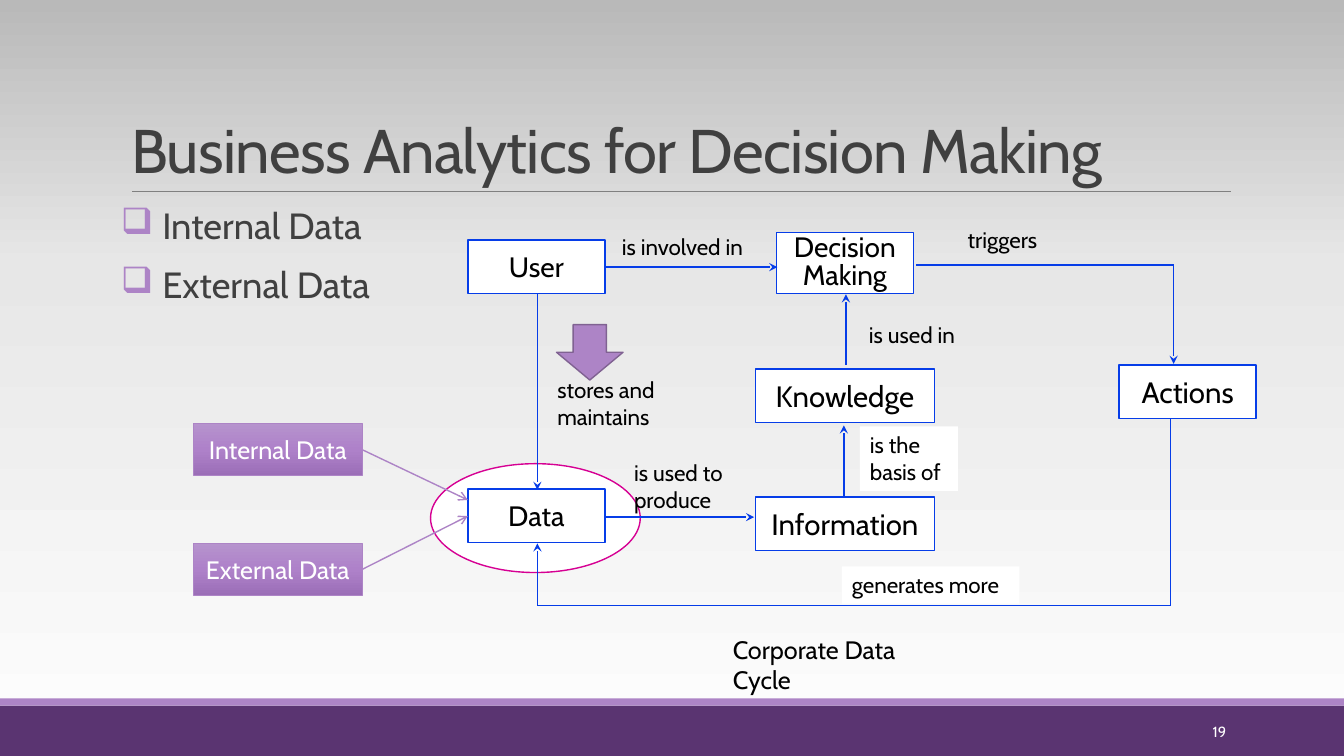
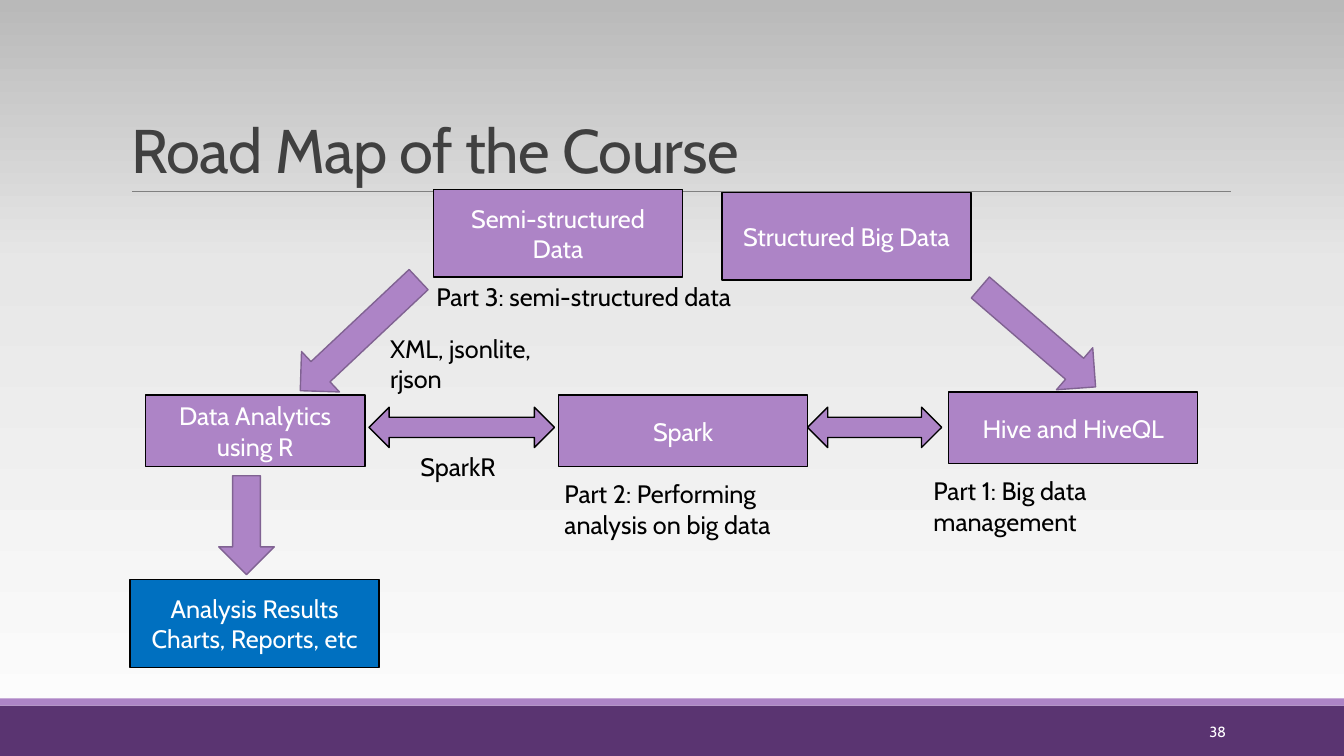
from dataclasses import dataclass
from copy import deepcopy
from itertools import pairwise
from typing import Any

from lxml.etree import SubElement
from pptx import Presentation
from pptx.dml.color import RGBColor
from pptx.enum.shapes import MSO_CONNECTOR, MSO_SHAPE
from pptx.enum.text import MSO_ANCHOR, PP_ALIGN
from pptx.oxml.ns import qn
from pptx.util import Pt

PX = 9144  # one px is a hundredth of an inch
Rect = tuple[int, int, int, int]
Point = tuple[int, int]
Stops = tuple[tuple[int, str], ...]


@dataclass(frozen=True)
class Theme:
    font: str = "Cabin"
    ink: str = "404040"
    black: str = "000000"
    white: str = "FFFFFF"
    deep: str = "5A3471"
    lilac: str = "AD84C6"
    edge: str = "806292"
    blue: str = "063DE8"
    azure: str = "0070C0"
    pink: str = "D60093"
    rule: str = "808080"
    page: Stops = ((0, "FEFEFE"), (65, "E7E7E7"), (100, "B9B9B9"))
    sheen: Stops = ((0, "B693CD"), (50, "AE81C9"), (100, "9B6EB7"))
    head: float = 44
    list: float = 26
    node: float = 20
    wide: float = 21
    body: float = 18
    note: float = 16
    foot: float = 10.5


T = Theme()


@dataclass(frozen=True)
class Node:
    rect: Rect
    text: str = ""
    fill: str | Stops = T.lilac
    line: str | None = T.black
    width: float = 1
    size: float = T.body
    color: str = T.white
    kind: MSO_SHAPE = MSO_SHAPE.RECTANGLE
    turn: float = 0
    lead: float = 1


@dataclass(frozen=True)
class Label:
    rect: Rect
    text: str
    size: float = T.note
    fill: str | None = None


@dataclass(frozen=True)
class Link:
    points: tuple[Point, ...]
    color: str = T.blue
    head: str | None = "stealth"
    width: float = 1


def put(item: Any, values: dict[str, Any]) -> None:
    for name, value in values.items():
        setattr(item, name, value)


def scale(rect: Rect) -> list[int]:
    return [n * PX for n in rect]


def paint(fill: Any, tone: str | Stops | None) -> None:
    """Fill with one colour, with vertical gradient stops, or with nothing."""
    if tone is None:
        fill.background()
    elif isinstance(tone, str):
        fill.solid()
        fill.fore_color.rgb = RGBColor.from_string(tone)
    else:
        fill.gradient()
        fill.gradient_angle = 270
        first = fill.gradient_stops[0]._gs
        first.getparent().append(deepcopy(first))
        for stop, (place, color) in zip(fill.gradient_stops, tone):
            stop.color.rgb = RGBColor.from_string(color)
            stop.position = place / 100


def write(frame: Any, text: str, size: float, color: str,
          look: dict[str, Any] | None = None,
          anchor: MSO_ANCHOR = MSO_ANCHOR.TOP, side: int = 10) -> None:
    """Set the text of a frame, one paragraph a line."""
    put(frame, {"text": text, "word_wrap": True, "vertical_anchor": anchor,
                "margin_left": side * PX, "margin_right": side * PX,
                "margin_top": 5 * PX, "margin_bottom": 5 * PX})
    for para in frame.paragraphs:
        put(para, look or {})
        for run in para.runs:
            put(run.font, {"name": T.font, "size": Pt(size)})
            run.font.color.rgb = RGBColor.from_string(color)


def add_node(slide: Any, node: Node) -> Any:
    shape = slide.shapes.add_shape(node.kind, *scale(node.rect))
    shape.shadow.inherit = False
    shape.rotation = node.turn
    paint(shape.fill, node.fill)
    paint(shape.line.fill, node.line)
    if node.line:
        shape.line.width = Pt(node.width)
    if node.text:
        look = {"alignment": PP_ALIGN.CENTER, "line_spacing": node.lead}
        write(shape.text_frame, node.text, node.size, node.color, look,
              MSO_ANCHOR.MIDDLE, 11)
    return shape


def add_label(slide: Any, label: Label) -> None:
    box = slide.shapes.add_textbox(*scale(label.rect))
    paint(box.fill, label.fill)
    write(box.text_frame, label.text, label.size, T.black)


def add_link(slide: Any, link: Link) -> list[Any]:
    """Join the points by straight lines, with the head on the last one."""
    lines = []
    for start, end in pairwise(link.points):
        line = slide.shapes.add_connector(
            MSO_CONNECTOR.STRAIGHT, *scale(start + end))
        line.line.color.rgb = RGBColor.from_string(link.color)
        line.line.width = Pt(link.width)
        SubElement(line._element.spPr, qn("a:effectLst"))
        lines.append(line)
    if link.head:
        tail = SubElement(lines[-1].line._get_or_add_ln(), qn("a:tailEnd"))
        tail.set("type", link.head)
    return lines


def add_list(slide: Any, rect: Rect, text: str) -> None:
    frame = slide.shapes.add_textbox(*scale(rect)).text_frame
    write(frame, text, T.list, T.ink, {"line_spacing": 0.9}, side=0)
    for spot, para in enumerate(frame.paragraphs):
        props = para._p.get_or_add_pPr()
        put_at = {"marL": 41 * PX, "indent": -41 * PX}
        for name, value in put_at.items():
            props.set(name, str(value))
        tint = SubElement(props, qn("a:buClr"))
        SubElement(tint, qn("a:srgbClr")).set("val", T.lilac)
        SubElement(props, qn("a:buChar")).set("char", "❑")
        put(para, {"space_before": Pt(12 if spot else 0),
                   "space_after": Pt(2)})


def dress(layout: Any, slide: Any) -> None:
    """Give the layout its background, bands and title rule."""
    for holder in list(layout.placeholders):
        if holder.placeholder_format.idx:
            holder._element.getparent().remove(holder._element)
    paint(layout.background.fill, T.page)
    layout.background.fill.gradient_angle = 90
    parts = [add_node(slide, Node((0, 700, 1333, 50), fill=T.deep, line=None)),
             add_node(slide, Node((0, 693, 1333, 7), line=None)),
             *add_link(slide, Link(((131, 190), (1221, 190)), T.rule, None, 0.5))]
    for part in parts:
        layout.shapes._spTree.append(part._element)


def add_page(deck: Any, title: str, number: str) -> Any:
    layout = deck.slide_layouts[5]
    slide = deck.slides.add_slide(layout)
    if len(deck.slides) == 1:
        dress(layout, slide)
    head = slide.shapes.title
    put(head, dict(zip(("left", "top", "width", "height"),
                       scale((120, 31, 1100, 159)))))
    write(head.text_frame, title, T.head, T.ink,
          {"alignment": PP_ALIGN.LEFT, "line_spacing": 0.85},
          MSO_ANCHOR.BOTTOM)
    head.text_frame.paragraphs[0].runs[0].font._rPr.set("spc", "-50")
    foot = slide.shapes.add_textbox(*scale((1083, 706, 143, 40)))
    write(foot.text_frame, number, T.foot, T.white,
          {"alignment": PP_ALIGN.RIGHT}, MSO_ANCHOR.MIDDLE)
    return slide


def draw(slide: Any, items: list[Node | Label | Link]) -> None:
    tools = {Node: add_node, Label: add_label, Link: add_link}
    for item in items:
        tools[type(item)](slide, item)


def step(rect: Rect, text: str, size: float = T.node, lead: float = 1) -> Node:
    return Node(rect, text, T.white, T.blue, size=size, color=T.black, lead=lead)


def source(top: int, text: str) -> Node:
    return Node((192, top, 167, 52), text, T.sheen, T.lilac, 0.5)


def arrow(rect: Rect, turn: float = 0) -> Node:
    return Node(rect, line=T.edge, kind=MSO_SHAPE.DOWN_ARROW, turn=turn)


def swap(left: int, width: int) -> Node:
    return Node((left, 404, width, 40), kind=MSO_SHAPE.LEFT_RIGHT_ARROW)


CYCLE = [
    arrow((552, 322, 66, 55)),
    Node((427, 460, 208, 108), fill=T.white, line=T.pink, kind=MSO_SHAPE.OVAL),
    # Steps of the cycle
    step((464, 238, 136, 53), "User"),
    step((770, 231, 136, 60), "Decision\nMaking", lead=0.85),
    step((749, 366, 178, 53), "Knowledge", T.wide),
    step((749, 493, 178, 53), "Information", T.wide),
    step((464, 485, 136, 53), "Data"),
    step((1110, 362, 136, 53), "Actions", T.wide),
    # Arrows between the steps
    Link(((601, 265), (771, 265))),
    Link(((533, 292), (533, 486))),
    Link(((601, 513), (748, 513))),
    Link(((837, 492), (837, 422))),
    Link(((839, 362), (839, 292))),
    Link(((909, 263), (1164, 263), (1164, 361))),
    Link(((1161, 415), (1161, 601), (533, 601), (533, 539))),
    # Words on the arrows
    Label((853, 423, 97, 64), "is the\nbasis of", fill=T.white),
    Label((835, 562, 176, 37), "generates more", fill=T.white),
    Label((543, 368, 124, 64), "stores and\nmaintains"),
    Label((619, 451, 115, 64), "is used to\nproduce"),
    Label((607, 226, 147, 37), "is involved in"),
    Label((852, 314, 114, 37), "is used in"),
    Label((950, 219, 94, 37), "triggers"),
    # Sources of the data
    source(420, "Internal Data"),
    source(539, "External Data"),
    Link(((359, 446), (464, 496)), T.lilac, "arrow"),
    Link(((359, 565), (464, 512)), T.lilac, "arrow"),
    Label((717, 624, 236, 40), "Corporate Data Cycle", T.body),
]

ROAD = [
    # Stages
    Node((144, 392, 218, 71), "Data Analytics using R"),
    Node((554, 392, 247, 71), "Spark"),
    Node((941, 389, 247, 71), "Hive and HiveQL"),
    Node((430, 188, 247, 87), "Semi-structured Data"),
    Node((716, 191, 247, 87), "Structured Big Data"),
    Node((129, 575, 247, 87), "Analysis Results\nCharts, Reports, etc", T.azure),
    # Arrows
    swap(366, 184),
    swap(801, 133),
    arrow((329, 252, 55, 161), 46.8),
    arrow((1002, 259, 55, 151), 310.8),
    arrow((217, 472, 55, 98)),
    # Notes
    Label((407, 443, 170, 40), "SparkR", T.body),
    Label((550, 470, 289, 71), "Part 2: Performing analysis on big data", T.body),
    Label((377, 326, 210, 40), "XML, jsonlite, rjson", T.body),
    Label((916, 467, 306, 40), "Part 1: Big data management", T.body),
    Label((423, 274, 342, 40), "Part 3: semi-structured data", T.body),
]


def main() -> None:
    deck = Presentation()
    put(deck, {"slide_width": 1333 * PX, "slide_height": 750 * PX})
    cycle = add_page(deck, "Business Analytics for Decision Making", "19")
    add_list(cycle, (120, 202, 1100, 440), "Internal Data\nExternal Data")
    draw(cycle, CYCLE)
    draw(add_page(deck, "Road Map of the Course", "38"), ROAD)
    deck.save("out.pptx")


if __name__ == "__main__":
    main()
